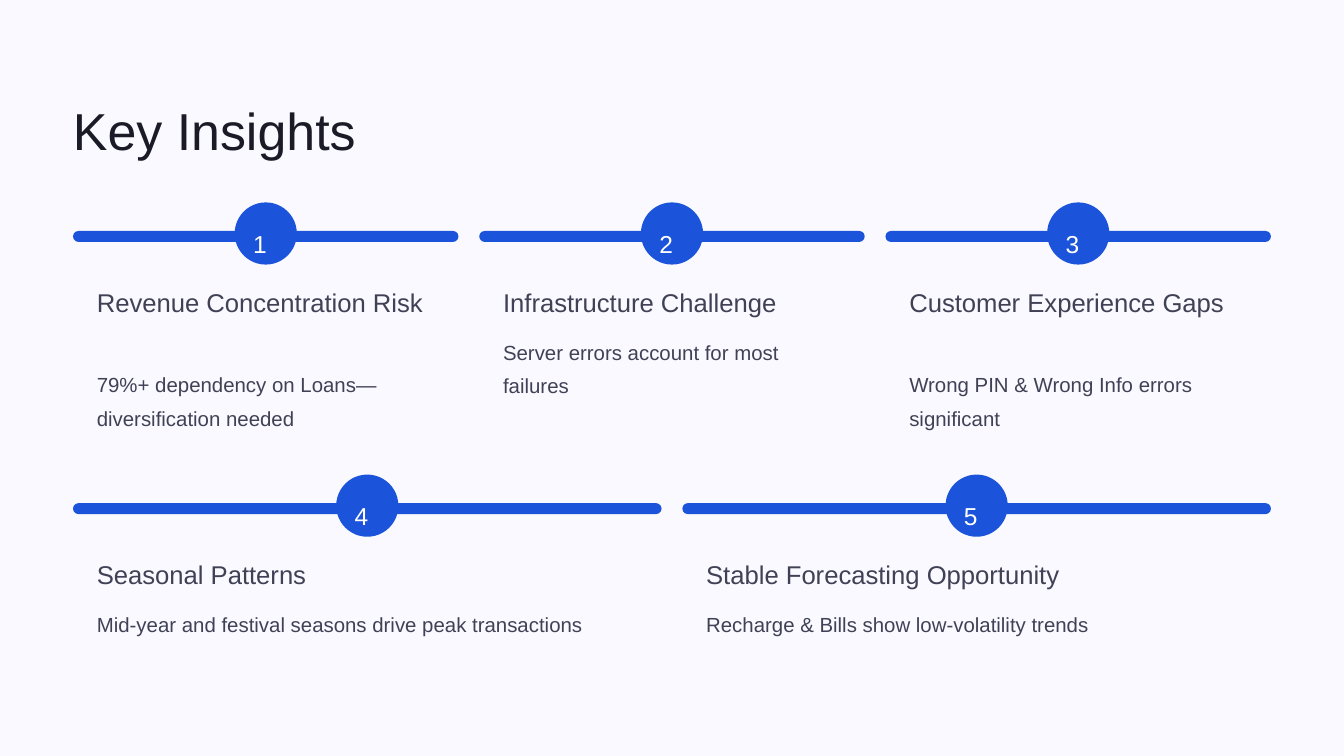
import pptx
import pptx.dml.color
import pptx.enum.shapes
import pptx.util

Pt = pptx.util.Pt
RGBColor = pptx.dml.color.RGBColor

PALE = RGBColor(0xF9, 0xF9, 0xFF)
BLUE = RGBColor(0x1B, 0x54, 0xDA)
INK = RGBColor(0x1B, 0x1B, 0x27)
SLATE = RGBColor(0x40, 0x41, 0x55)
WHITE = RGBColor(0xFF, 0xFF, 0xFF)

LEFT = 62.6
CONTENT_WIDTH = 1026.8
GAP = 17.8
PADDING = 20.4
BAR_HEIGHT = 9.4
BADGE_SIZE = 53.3

# Each row: bar top, card height, cards as (heading, body, body offset from bar)
ROWS = [
    (198, 188.6, [
        ("Revenue Concentration Risk",
         "79%+ dependency on Loans—diversification needed", 113.8),
        ("Infrastructure Challenge",
         "Server errors account for most failures", 85.7),
        ("Customer Experience Gaps",
         "Wrong PIN & Wrong Info errors significant", 113.8),
    ]),
    (431.3, 131.8, [
        ("Seasonal Patterns",
         "Mid-year and festival seasons drive peak transactions", 85.7),
        ("Stable Forecasting Opportunity",
         "Recharge & Bills show low-volatility trends", 85.7),
    ]),
]


def add_rounded(slide, left, top, width, height, rounding, color):
    shape = slide.shapes.add_shape(
        pptx.enum.shapes.MSO_SHAPE.ROUNDED_RECTANGLE,
        Pt(left), Pt(top), Pt(width), Pt(height))
    shape.adjustments[0] = rounding
    shape.shadow.inherit = False
    shape.fill.solid()
    shape.fill.fore_color.rgb = color
    shape.line.fill.background()


def add_text(slide, text, left, top, width, height, size, line_spacing, color):
    frame = slide.shapes.add_textbox(
        Pt(left), Pt(top), Pt(width), Pt(height)).text_frame
    frame.margin_left = frame.margin_right = 0
    frame.margin_top = frame.margin_bottom = 0
    frame.word_wrap = True
    paragraph = frame.paragraphs[0]
    paragraph.text = text
    paragraph.line_spacing = Pt(line_spacing)
    paragraph.font.name = "Arial"
    paragraph.font.size = Pt(size)
    paragraph.font.color.rgb = color


def add_card(slide, number, left, top, width, height, heading, body, body_offset):
    # Card and its top bar
    add_rounded(slide, left, top + 2.2, width, height, 11.5 / height, PALE)
    add_rounded(slide, left, top, width, BAR_HEIGHT, 0.5, BLUE)

    # Numbered badge
    badge_left = left + (width - BADGE_SIZE) / 2
    add_rounded(slide, badge_left, top - 24.5, BADGE_SIZE, BADGE_SIZE, 0.5, BLUE)
    add_text(slide, str(number), badge_left + 15.8, top - 10.8, 21.6, 26.6,
             21, 34, WHITE)

    # Heading and body
    text_left = left + PADDING
    text_width = width - 2 * PADDING
    add_text(slide, heading, text_left, top + 46.8, text_width, 28, 22, 27.5, SLATE)
    add_text(slide, body, text_left, top + body_offset, text_width, 57,
             17.5, 28.5, SLATE)


def main():
    presentation = pptx.Presentation()
    presentation.slide_width = Pt(1152)
    presentation.slide_height = Pt(648)
    slide = presentation.slides.add_slide(presentation.slide_layouts[6])
    slide.background.fill.solid()
    slide.background.fill.fore_color.rgb = PALE

    # Title
    add_text(slide, "Key Insights", LEFT, 82, 446.4, 56, 44.5, 55.5, INK)

    # Rows of equally wide cards
    number = 1
    for top, height, cards in ROWS:
        width = (CONTENT_WIDTH - GAP * (len(cards) - 1)) / len(cards)
        for column, card in enumerate(cards):
            left = LEFT + column * (width + GAP)
            add_card(slide, number, left, top, width, height, *card)
            number += 1

    presentation.save("out.pptx")


if __name__ == "__main__":
    main()
